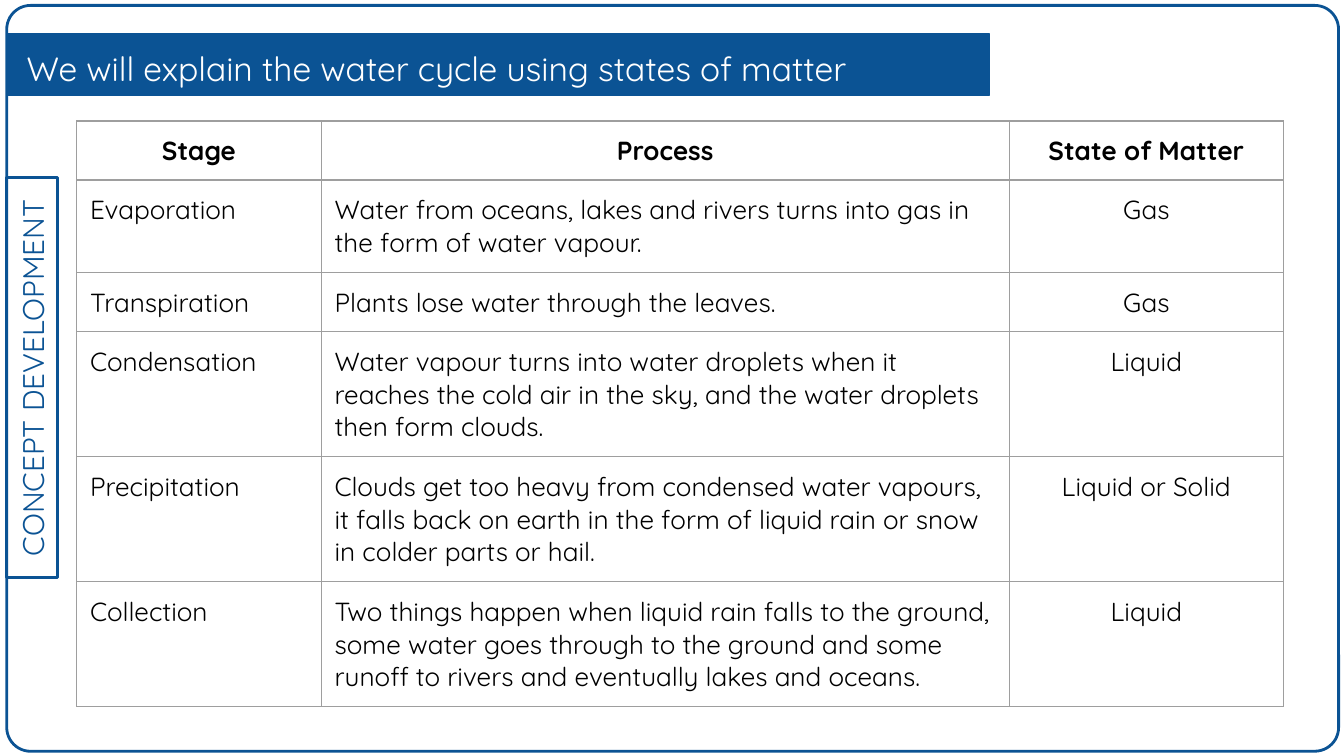
"""Build a slide that explains the water cycle using states of matter."""
from lxml import etree
from pptx import Presentation
from pptx.dml.color import RGBColor
from pptx.enum.shapes import MSO_SHAPE
from pptx.enum.text import MSO_ANCHOR, PP_ALIGN
from pptx.oxml.ns import qn
from pptx.util import Inches, Pt

RECT, ROUNDED = MSO_SHAPE.RECTANGLE, MSO_SHAPE.ROUNDED_RECTANGLE
LEFT, CENTER = PP_ALIGN.LEFT, PP_ALIGN.CENTER
MIDDLE = MSO_ANCHOR.MIDDLE

TITLE = "We will explain the water cycle using states of matter"
TAB = "CONCEPT DEVELOPMENT"
HEADER = ("Stage", "Process", "State of Matter")
STAGES = [
    ("Evaporation", "Water from oceans, lakes and rivers turns into gas in "
     "the form of water vapour.", "Gas"),
    ("Transpiration", "Plants lose water through the leaves.", "Gas"),
    ("Condensation", "Water vapour turns into water droplets when it reaches "
     "the cold air in the sky, and the water droplets then form clouds.", "Liquid"),
    ("Precipitation", "Clouds get too heavy from condensed water vapours, it "
     "falls back on earth in the form of liquid rain or snow in colder parts "
     "or hail.", "Liquid or Solid"),
    ("Collection", "Two things happen when liquid rain falls to the ground, "
     "some water goes through to the ground and some runoff to rivers and "
     "eventually lakes and oceans.", "Liquid"),
]
COLUMNS = (1.82, 5.12, 2.04)
ALIGNS = (LEFT, LEFT, CENTER)
ROW_LINES = (1, 2, 1, 3, 3, 3)
HEIGHT_BY_LINES = {1: 0.44, 2: 0.69, 3: 0.93}
INSET = 0.1

THEME = {
    "font": "Quicksand",
    "blue": "0B5394", "white": "FFFFFF", "black": "000000", "grid": "9E9E9E",
    "title": 18, "tab": 16, "cell": 14,
}


def color(name):
    return RGBColor.from_string(THEME[name])


def inset(box):
    box.margin_left = box.margin_right = Inches(INSET)
    box.margin_top = box.margin_bottom = Inches(INSET)


def write(tf, text, size, ink, align=LEFT, bold=False):
    tf.text = text
    p = tf.paragraphs[0]
    p.alignment = align
    font = p.runs[0].font
    font.name, font.size, font.bold = THEME["font"], Pt(THEME[size]), bold
    font.color.rgb = color(ink)
    return p


def add_box(slide, kind, box, width, fill=None):
    sp = slide.shapes.add_shape(kind, *map(Inches, box))
    sp.shadow.inherit = False
    sp.line.color.rgb = color("blue")
    sp.line.width = Pt(width)
    if fill:
        sp.fill.solid()
        sp.fill.fore_color.rgb = color(fill)
    else:
        sp.fill.background()
    return sp


def add_borders(cell):
    tc_pr = cell._tc.get_or_add_tcPr()
    for side in ("a:lnL", "a:lnR", "a:lnT", "a:lnB"):
        ln = etree.SubElement(tc_pr, qn(side), w=str(Pt(0.75)))
        fill = etree.SubElement(ln, qn("a:solidFill"))
        etree.SubElement(fill, qn("a:srgbClr"), val=THEME["grid"])


def add_stage_table(slide, left, top):
    rows = [HEADER, *STAGES]
    heights = [HEIGHT_BY_LINES[n] for n in ROW_LINES]
    table = slide.shapes.add_table(
        len(rows), len(COLUMNS), Inches(left), Inches(top),
        Inches(sum(COLUMNS)), Inches(sum(heights))).table
    table.first_row = table.horz_banding = False
    for column, width in zip(table.columns, COLUMNS):
        column.width = Inches(width)
    for i, (row, height) in enumerate(zip(rows, heights)):
        table.rows[i].height = Inches(height)
        for j, text in enumerate(row):
            cell = table.cell(i, j)
            inset(cell)
            add_borders(cell)
            cell.fill.background()
            align = CENTER if i == 0 else ALIGNS[j]
            write(cell.text_frame, text, "cell", "black", align, i == 0)


def main():
    prs = Presentation()
    prs.slide_width = Inches(10)
    prs.slide_height = prs.slide_width * 9 // 16
    s = prs.slides.add_slide(prs.slide_layouts[6])

    frame = add_box(s, ROUNDED, (0.05, 0.04, 9.91, 5.55), 1.5)
    frame.adjustments[0] = 0.032

    tab = add_box(s, RECT, (-1.25, 2.62, 2.98, 0.38), 1.5)
    tab.rotation = 270
    write(tab.text_frame, TAB, "tab", "blue", CENTER)

    add_box(s, RECT, (0.05, 0.25, 7.31, 0.46), 0.75, "blue")
    title = s.shapes.add_textbox(*map(Inches, (0.1, 0.29, 7.21, 0.38)))
    write(title.text_frame, TITLE, "title", "white").line_spacing = 1.15

    for sp in (tab, title):
        tf = sp.text_frame
        inset(tf)
        tf.word_wrap = True
        tf.vertical_anchor = MIDDLE

    add_stage_table(s, 0.57, 0.9)
    prs.save("out.pptx")


if __name__ == "__main__":
    main()
